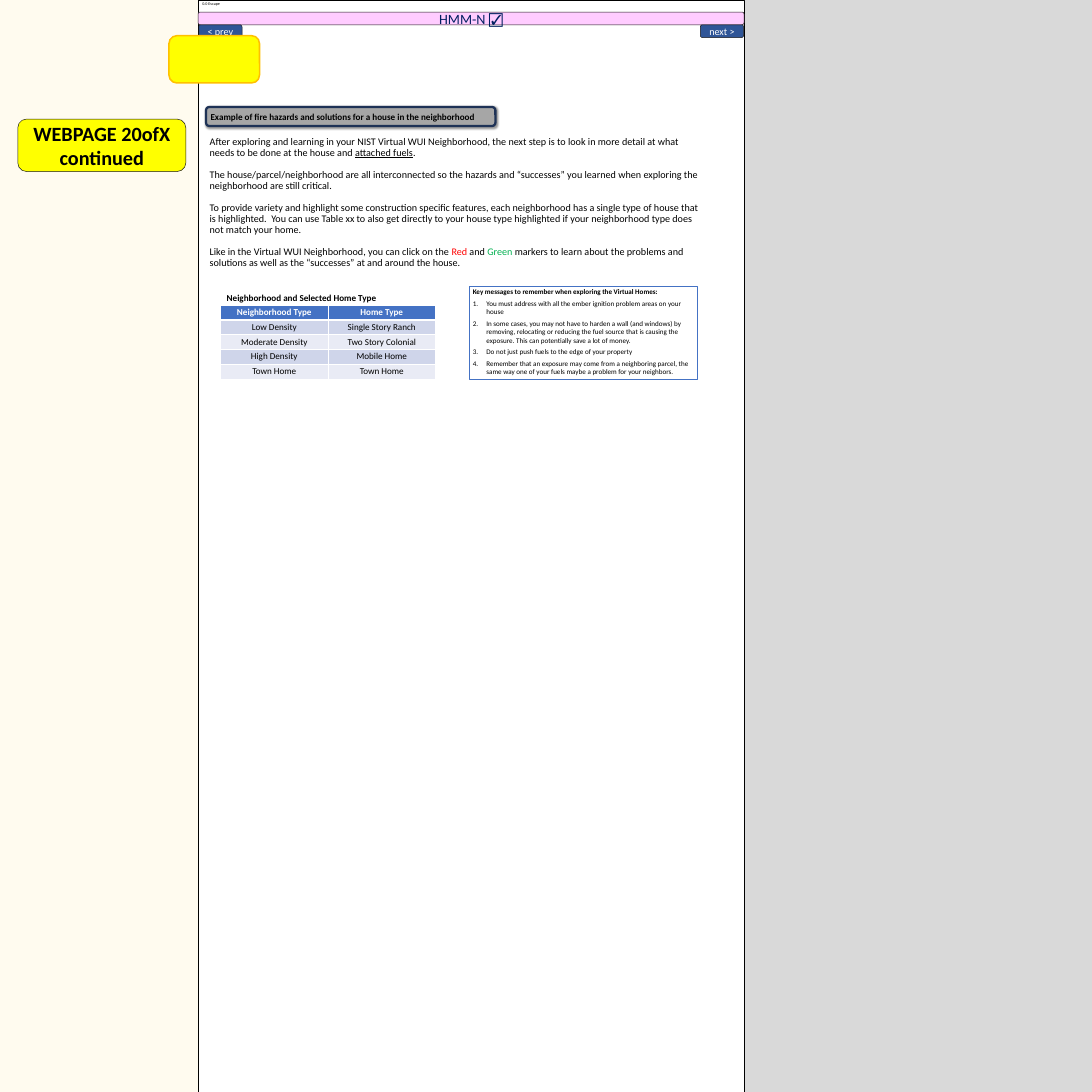
from lxml import etree
from pptx import Presentation
from pptx.dml.color import RGBColor
from pptx.enum import shapes, text
from pptx.oxml import parse_xml
from pptx.oxml.ns import nsdecls, qn
from pptx.util import Cm, Pt

COLORS = {
    "black": "000000", "white": "FFFFFF", "cream": "FFFBEF", "panel": "D9D9D9",
    "pink": "FFCCFF", "outline": "181717", "navy": "002060", "button": "2F5597",
    "yellow": "FFFF00", "amber": "FFC000", "gray": "A6A6A6", "frame": "1E3256",
    "blue": "4472C4", "band": "CFD5EA", "light": "E9EBF5", "red": "FF0000", "green": "00B050",
}
RECT = shapes.MSO_SHAPE.RECTANGLE
ROUND = shapes.MSO_SHAPE.ROUNDED_RECTANGLE
LEFT, CENTER = text.PP_ALIGN.LEFT, text.PP_ALIGN.CENTER
TOP, MIDDLE = text.MSO_ANCHOR.TOP, text.MSO_ANCHOR.MIDDLE

prs = Presentation()
prs.slide_width = prs.slide_height = Cm(76.2)
slide = prs.slides.add_slide(prs.slide_layouts[6])


def add_box(place, kind=None, fill=None, line=None, width=1):
    """Add a shape, or a text box when no kind is given; place is in centimetres."""
    place = [Cm(length) for length in place]
    if kind is None:
        box = slide.shapes.add_textbox(*place)
    else:
        box = slide.shapes.add_shape(kind, *place)
        box.shadow.inherit = False
        if fill:
            box.fill.solid()
            box.fill.fore_color.rgb = RGBColor.from_string(COLORS[fill])
        else:
            box.fill.background()
        if line:
            box.line.color.rgb = RGBColor.from_string(COLORS[line])
            box.line.width = Pt(width)
        else:
            box.line.fill.background()
    box.text_frame.word_wrap = True
    return box


def write(frame, lines, size, color="black", bold=False, align=LEFT, anchor=TOP):
    """Fill a text frame with one paragraph per line; a line is a list of runs."""
    frame.vertical_anchor = anchor
    for number, runs in enumerate(lines):
        paragraph = frame.paragraphs[0] if number == 0 else frame.add_paragraph()
        for words in runs:
            paragraph.add_run().text = words
        paragraph.alignment = align
        paragraph.font.name = "Calibri"
        paragraph.font.size = Pt(size)
        paragraph.font.bold = bold
        paragraph.font.color.rgb = RGBColor.from_string(COLORS[color])


# Page and side panels
PAGE_LEFT, PAGE_WIDTH, PAGE_RIGHT = 13.82, 38.1, 51.92
add_box((0, 0, PAGE_LEFT, 76.2), RECT, "cream")
add_box((PAGE_RIGHT, 0, 24.28, 76.2), RECT, "panel")
add_box((PAGE_LEFT, 0, PAGE_WIDTH, 76.2), RECT, line="black")

# Page header and navigation
header = add_box((PAGE_LEFT, 0.84, PAGE_WIDTH, 0.89), ROUND, "pink", "outline")
write(header.text_frame, [["HMM-N ☑"]], 28, "navy", align=CENTER, anchor=MIDDLE)

page_title = add_box((13.87, 0.03, 38.05, 0.53))
write(page_title.text_frame, [["0.0 Escape"]], 8.1, anchor=MIDDLE)

for label, left in (("next >", 48.87), ("< prev", 13.87)):
    button = add_box((left, 1.73, 3.02, 0.89), ROUND, "button", "outline")
    write(button.text_frame, [[label]], 20, "white", align=CENTER, anchor=MIDDLE)

webpage_label = add_box((1.24, 8.31, 11.73, 3.66), ROUND, "yellow", "outline")
write(webpage_label.text_frame, [["WEBPAGE 20ofX"], ["continued"]], 40,
      bold=True, align=CENTER, anchor=MIDDLE)

# Section heading with its drop shadow
heading = add_box((14.38, 7.47, 20.19, 1.32), ROUND, "gray", "frame", 4.5)
write(heading.text_frame,
      [["Example of fire hazards and solutions for a house in the neighborhood"]],
      18, bold=True, anchor=MIDDLE)
effects = heading._element.spPr.find(qn("a:effectLst"))
shadow = etree.SubElement(effects, qn("a:outerShdw"), blurRad=str(Pt(4)), dist=str(Pt(3)),
                          dir=str(45 * 60000), algn="tl", rotWithShape="0")
shadow_color = etree.SubElement(shadow, qn("a:srgbClr"), val=COLORS["black"])
etree.SubElement(shadow_color, qn("a:alpha"), val="40000")

# Introduction
introduction = add_box((14.38, 9.42, 34.92, 9.6)).text_frame
write(introduction, [
    ["After exploring and learning in your NIST Virtual WUI Neighborhood, the next step is to "
     "look in more detail at what needs to be done at the house and ", "attached fuels", "."],
    ["The house/parcel/neighborhood are all interconnected so the hazards and “successes” you "
     "learned when exploring the neighborhood are still critical."],
    ["To provide variety and highlight some construction specific features, each neighborhood "
     "has a single type of house that is highlighted.  You can use Table xx to also get directly "
     "to your house type highlighted if your neighborhood type does not match your home."],
    ["Like in the Virtual WUI Neighborhood, you can click on the ", "Red", " and ", "Green",
     " markers to learn about the problems and solutions as well as the “successes” at and "
     "around the house."],
], 20)
for paragraph in introduction.paragraphs:
    paragraph.line_spacing = 0.9
    paragraph.space_after = Pt(22)
introduction.paragraphs[0].runs[1].font.underline = True
marker_runs = introduction.paragraphs[-1].runs
for marker, color in ((marker_runs[1], "red"), (marker_runs[3], "green")):
    marker.font.color.rgb = RGBColor.from_string(COLORS[color])

# Key messages
messages = add_box((32.74, 19.94, 15.88, 6.5), RECT, line="blue", width=0.75).text_frame
write(messages, [
    ["Key messages to remember when exploring the Virtual Homes:"],
    ["You must address with all the ember ignition problem areas on your house"],
    ["In some cases, you may not have to harden a wall (and windows) by removing, relocating or "
     "reducing the fuel source that is causing the exposure. This can potentially save a lot "
     "of money."],
    ["Do not just push fuels to the edge of your property"],
    ["Remember that an exposure may come from a neighboring parcel, the same way one of your "
     "fuels maybe a problem for your neighbors."],
], 14)
messages.paragraphs[0].font.bold = True
for paragraph in messages.paragraphs:
    paragraph.space_after = Pt(6)
for paragraph in messages.paragraphs[1:]:
    properties = paragraph._p.get_or_add_pPr()
    properties.set("marL", str(Cm(0.95)))
    properties.set("indent", str(-Cm(0.95)))
    numbering = parse_xml(f'<a:buAutoNum {nsdecls("a")} type="arabicPeriod"/>')
    properties.find(qn("a:defRPr")).addprevious(numbering)

# Home types
home_types = [
    ("Neighborhood Type", "Home Type"),
    ("Low Density", "Single Story Ranch"),
    ("Moderate Density", "Two Story Colonial"),
    ("High Density", "Mobile Home"),
    ("Town Home", "Town Home"),
]
table = slide.shapes.add_table(len(home_types), 2, Cm(15.39), Cm(21.29), Cm(15), Cm(5.15)).table
for row, names in enumerate(home_types):
    is_header = row == 0
    fill = "blue" if is_header else ("light", "band")[row % 2]
    for column, name in enumerate(names):
        cell = table.cell(row, column)
        write(cell.text_frame, [[name]], 18, "white" if is_header else "black",
              bold=is_header, align=CENTER)
        for side in ("lnL", "lnR", "lnT", "lnB"):
            thick = (is_header and side == "lnB") or (row == 1 and side == "lnT")
            border = etree.SubElement(cell._tc.get_or_add_tcPr(), qn(f"a:{side}"),
                                      w=str(Pt(3 if thick else 1)))
            border_fill = etree.SubElement(border, qn("a:solidFill"))
            etree.SubElement(border_fill, qn("a:srgbClr"), val=COLORS["white"])
        cell.fill.solid()
        cell.fill.fore_color.rgb = RGBColor.from_string(COLORS[fill])

table_title = add_box((15.57, 20.27, 14.6, 1.02))
write(table_title.text_frame, [["Neighborhood and Selected Home Type"]], 18, bold=True)

# Empty yellow tag over the page edge
add_box((11.79, 2.49, 6.32, 3.3), ROUND, "yellow", "amber", 3)

prs.save("out.pptx")
